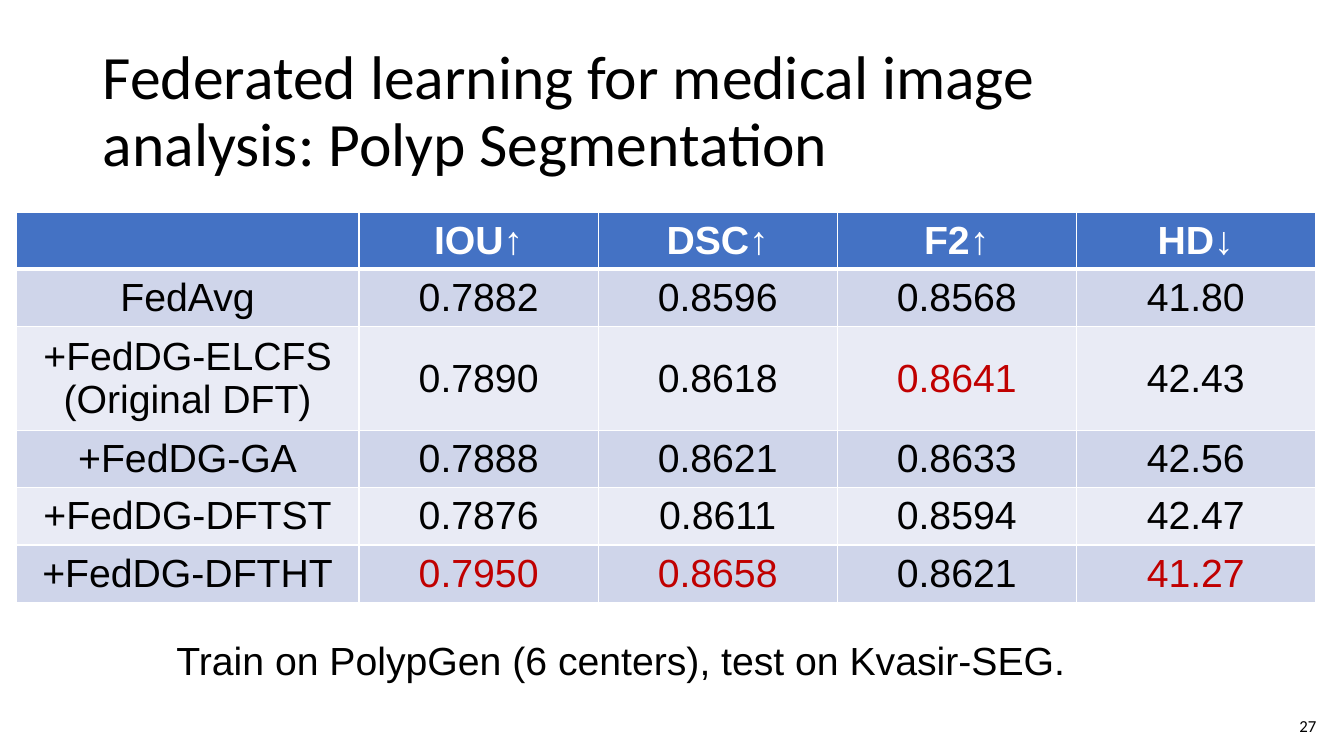
from lxml import etree
from pptx import Presentation
from pptx import util as u
from pptx.dml.color import RGBColor
from pptx.enum import text
from pptx.oxml import ns

PX = 914400 / 100.8
BLACK = RGBColor(0x00, 0x00, 0x00)
WHITE = RGBColor(0xFF, 0xFF, 0xFF)
BEST_RED = RGBColor(0xC0, 0x00, 0x00)
HEADER_BLUE = RGBColor(0x44, 0x72, 0xC4)
BANDS = (RGBColor(0xE9, 0xEB, 0xF5), RGBColor(0xCF, 0xD5, 0xEA))

SCORES = [
    ["", "IOU↑", "DSC↑", "F2↑", "HD↓"],
    ["FedAvg", "0.7882", "0.8596", "0.8568", "41.80"],
    ["+FedDG-ELCFS\n(Original DFT)", "0.7890", "0.8618", "0.8641", "42.43"],
    ["+FedDG-GA", "0.7888", "0.8621", "0.8633", "42.56"],
    ["+FedDG-DFTST", "0.7876", "0.8611", "0.8594", "42.47"],
    ["+FedDG-DFTHT", "0.7950", "0.8658", "0.8621", "41.27"],
]
BEST = {(2, 3), (5, 1), (5, 2), (5, 4)}
COLUMN_WIDTHS = [343, 239, 239, 239, 239]
ROW_HEIGHTS = [54, 54, 97, 54, 54, 54]


def px(length):
    return u.Emu(round(length * PX))


def write(frame, wording, size, font, color=BLACK, align=text.PP_ALIGN.CENTER, bold=False):
    for index, line in enumerate(wording.split("\n")):
        paragraph = frame.add_paragraph() if index else frame.paragraphs[0]
        paragraph.alignment = align
        run = paragraph.add_run()
        run.text = line
        run.font.size = u.Pt(size)
        run.font.name = font
        run.font.bold = bold
        run.font.color.rgb = color


def add_text(slide, box, wording, size, font, align, anchor):
    frame = slide.shapes.add_textbox(*map(px, box)).text_frame
    frame.word_wrap = True
    frame.vertical_anchor = anchor
    write(frame, wording, size, font, align=align)
    return frame


def set_borders(cell, top, bottom):
    properties = cell._tc.get_or_add_tcPr()
    for index, (side, points) in enumerate([("L", 1), ("R", 1), ("T", top), ("B", bottom)]):
        border = etree.Element(ns.qn(f"a:ln{side}"), w=str(u.Pt(points)))
        fill = etree.SubElement(border, ns.qn("a:solidFill"))
        etree.SubElement(fill, ns.qn("a:srgbClr"), val=str(WHITE))
        properties.insert(index, border)


def add_score_table(slide, left, top):
    table = slide.shapes.add_table(
        len(ROW_HEIGHTS), len(COLUMN_WIDTHS), px(left), px(top),
        px(sum(COLUMN_WIDTHS)), px(sum(ROW_HEIGHTS))).table
    for column, width in zip(table.columns, COLUMN_WIDTHS):
        column.width = px(width)
    for row, height in zip(table.rows, ROW_HEIGHTS):
        row.height = px(height)
    for r, scores in enumerate(SCORES):
        header = r == 0
        for c, score in enumerate(scores):
            cell = table.cell(r, c)
            cell.vertical_anchor = text.MSO_ANCHOR.MIDDLE
            cell.fill.solid()
            cell.fill.fore_color.rgb = HEADER_BLUE if header else BANDS[r % 2]
            set_borders(cell, top=3 if r == 1 else 1, bottom=3 if header else 1)
            if score:
                color = WHITE if header else BEST_RED if (r, c) in BEST else BLACK
                write(cell.text_frame, score, 28, "Arial", color, bold=header)


def main():
    deck = Presentation()
    deck.slide_width = u.Inches(13.33)
    deck.slide_height = u.Inches(7.5)
    slide = deck.slides.add_slide(deck.slide_layouts[6])
    title = add_text(slide, (93, 40, 1159, 146),
                     "Federated learning for medical image analysis: Polyp Segmentation",
                     44, "Calibri", text.PP_ALIGN.LEFT, text.MSO_ANCHOR.MIDDLE)
    title.paragraphs[0].line_spacing = 0.9
    add_text(slide, (1024, 706, 302, 40), "27",
             12, "Calibri", text.PP_ALIGN.RIGHT, text.MSO_ANCHOR.MIDDLE)
    add_score_table(slide, 16, 212)
    add_text(slide, (50, 631, 1152, 57),
             "Train on PolypGen (6 centers), test on Kvasir-SEG. ",
             28, "Arial", text.PP_ALIGN.CENTER, text.MSO_ANCHOR.TOP)
    deck.save("out.pptx")


if __name__ == "__main__":
    main()
